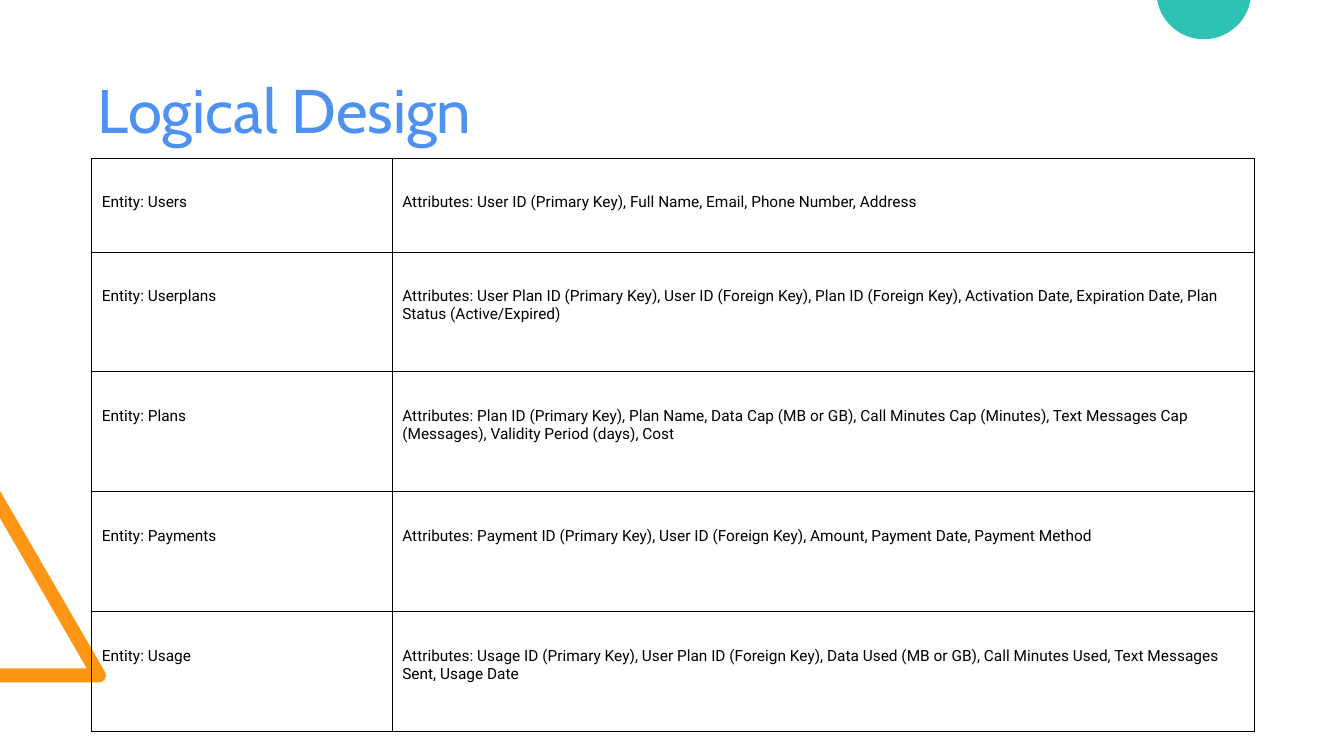
from math import cos, radians, sin

from lxml.etree import SubElement
from pptx import Presentation
from pptx.dml.color import RGBColor
from pptx.enum.text import MSO_ANCHOR, PP_ALIGN
from pptx.oxml.ns import qn
from pptx.util import Inches, Pt

COLORS = {"title": "4E91F0", "text": "000000", "border": "000000",
          "triangle": "FF9514", "circle": "2CC3B4"}

ENTITIES = [
    ("Users", "User ID (Primary Key), Full Name, Email, Phone Number, Address"),
    ("Userplans", "User Plan ID (Primary Key), User ID (Foreign Key), Plan ID (Foreign Key), "
                  "Activation Date, Expiration Date, Plan Status (Active/Expired)"),
    ("Plans", "Plan ID (Primary Key), Plan Name, Data Cap (MB or GB), Call Minutes Cap (Minutes), "
              "Text Messages Cap (Messages), Validity Period (days), Cost"),
    ("Payments", "Payment ID (Primary Key), User ID (Foreign Key), Amount, Payment Date, "
                 "Payment Method"),
    ("Usage", "Usage ID (Primary Key), User Plan ID (Foreign Key), Data Used (MB or GB), "
              "Call Minutes Used, Text Messages Sent, Usage Date"),
]


def arc(center_x, center_y, radius, start, end, steps=32):
    """Return points along a circular arc, with angles in degrees."""
    angles = [radians(start + (end - start) * step / steps) for step in range(steps + 1)]
    return [(center_x + radius * cos(angle), center_y + radius * sin(angle)) for angle in angles]


class SlideBuilder:
    """Hold the style and the current slide."""

    def __init__(self, slide):
        """Start building on the given slide."""
        self.slide = slide

    def style_text(self, para, font, size, color):
        """Format every run of a paragraph."""
        for span in para.runs:
            span.font.name = font
            span.font.size = Pt(size)
            span.font.color.rgb = RGBColor.from_string(COLORS[color])

    def title(self, text):
        """Fill and place the title placeholder."""
        box = self.slide.shapes.title
        box.left, box.top, box.width, box.height = map(Inches, (0.92, 0.4, 11.5, 1.45))
        frame = box.text_frame
        frame.text = text
        frame.vertical_anchor = MSO_ANCHOR.MIDDLE
        frame.margin_left = frame.margin_right = Inches(0.05)
        frame.margin_top = frame.margin_bottom = Inches(0.05)
        para = frame.paragraphs[0]
        para.alignment = PP_ALIGN.LEFT
        para.line_spacing = 0.9
        self.style_text(para, "Cabin", 44, "title")

    def outline(self, points, color):
        """Draw a filled closed outline through points in inches."""
        corners = [(Inches(x), Inches(y)) for x, y in points]
        builder = self.slide.shapes.build_freeform(*corners[0])
        builder.add_line_segments(corners[1:], close=True)
        shape = builder.convert_to_shape()
        shape.shadow.inherit = False
        shape.fill.solid()
        shape.fill.fore_color.rgb = RGBColor.from_string(COLORS[color])
        shape.line.fill.background()

    def cell(self, cell, text):
        """Write one bordered, unfilled table cell."""
        cell.text_frame.text = text
        cell.margin_left = cell.margin_right = Inches(0.1)
        cell.margin_top = Inches(0.35)
        cell.margin_bottom = Inches(0.05)
        self.style_text(cell.text_frame.paragraphs[0], "Roboto", 11, "text")
        properties = cell._tc.get_or_add_tcPr()
        for side in ("lnL", "lnR", "lnT", "lnB"):
            line = SubElement(properties, qn(f"a:{side}"), w=str(Pt(0.75)))
            fill = SubElement(line, qn("a:solidFill"))
            SubElement(fill, qn("a:srgbClr"), val=COLORS["border"])
        cell.fill.background()

    def table(self, rows, widths, heights):
        """Add the table of entities and attributes."""
        frame = self.slide.shapes.add_table(
            len(rows), len(widths), Inches(0.91), Inches(1.57),
            Inches(sum(widths)), Inches(sum(heights)))
        table = frame.table
        table.first_row = table.horz_banding = False
        for column, width in zip(table.columns, widths):
            column.width = Inches(width)
        for row, height, texts in zip(table.rows, heights, rows):
            row.height = Inches(height)
            for cell, text in zip(row.cells, texts):
                self.cell(cell, text)


def main():
    """Build and save the deck."""
    deck = Presentation()
    deck.slide_width, deck.slide_height = Inches(13.33), Inches(7.5)
    page = SlideBuilder(deck.slides.add_slide(deck.slide_layouts[5]))
    page.title("Logical Design")
    page.outline([(0, 6.77), (0, 6.63), (0.86, 6.63), (0, 5.14), (0, 4.87),
                  *arc(0.98, 6.7, 0.07, -30, 90)], "triangle")
    page.outline(arc(11.94, -0.08, 0.47, 10, 170), "circle")
    rows = [(f"Entity: {name}", f"Attributes: {attributes}") for name, attributes in ENTITIES]
    page.table(rows, [2.98, 8.55], [0.93] + [1.19] * 4)
    deck.save("out.pptx")


if __name__ == "__main__":
    main()
